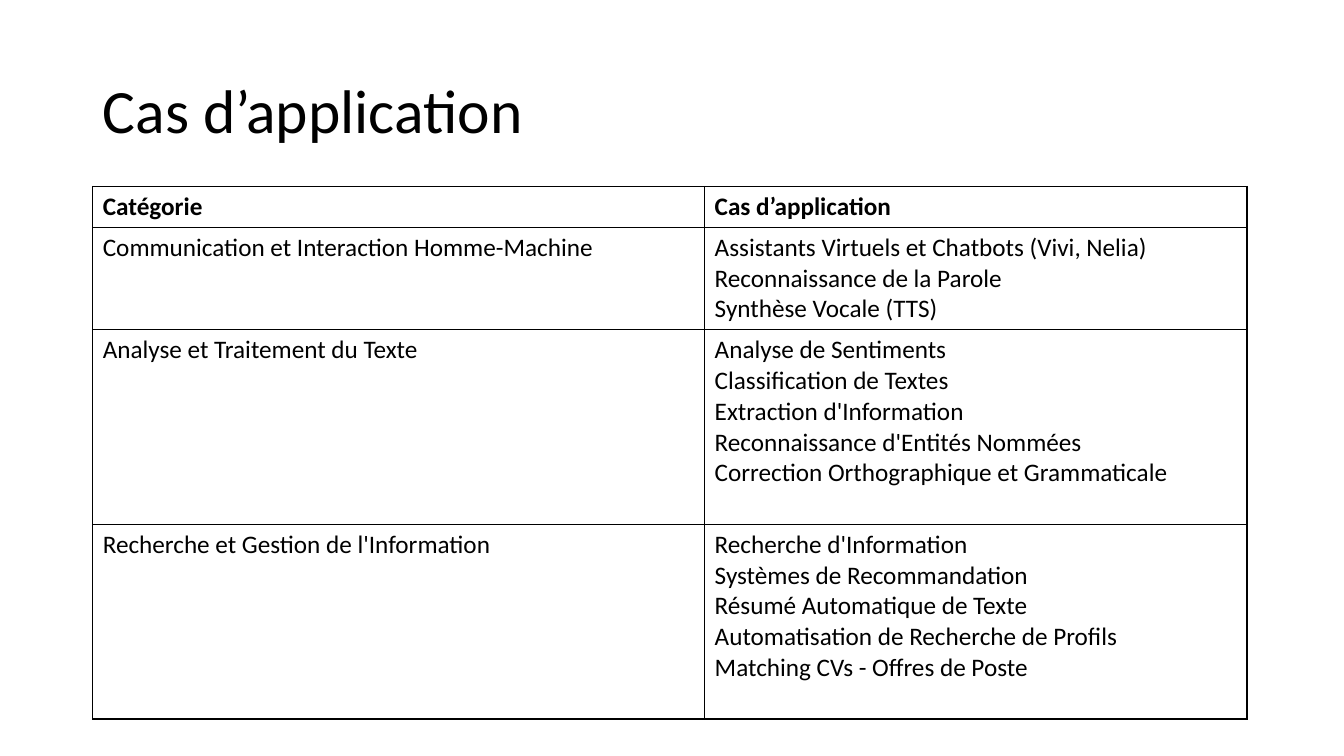
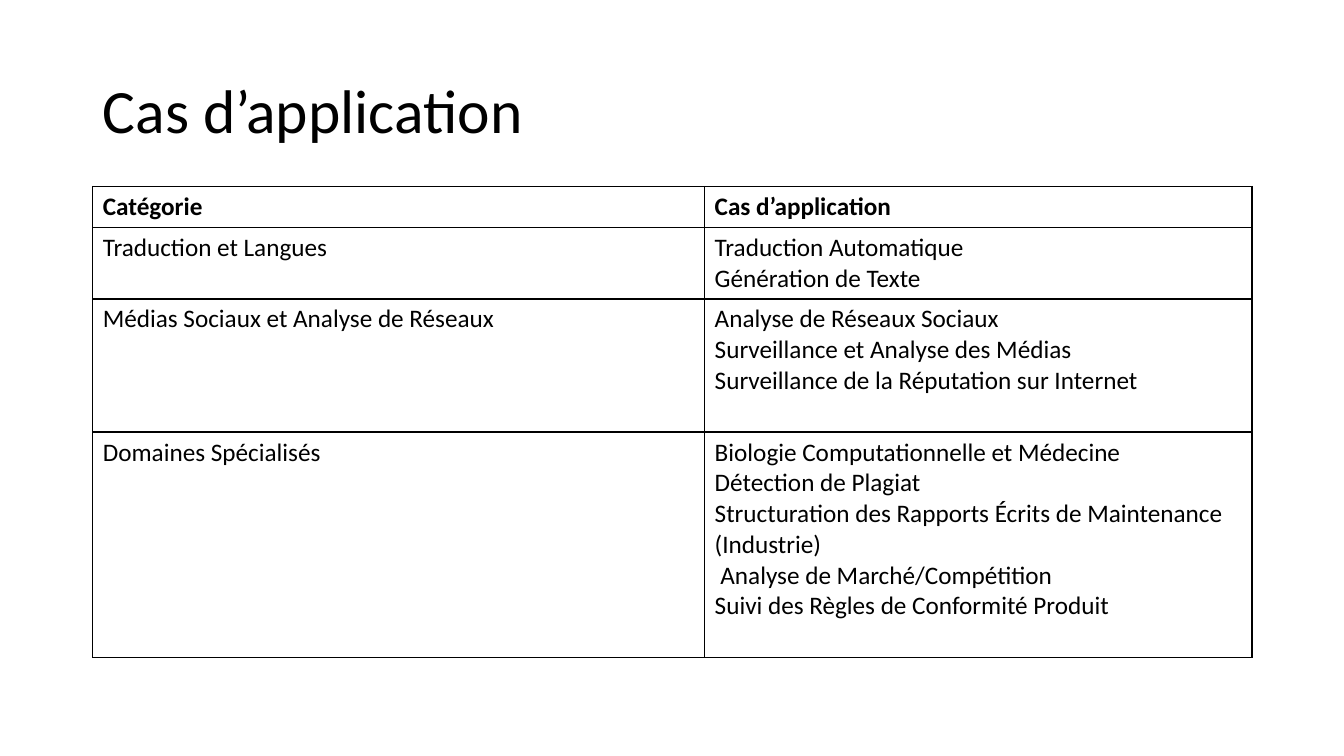
from pptx import Presentation
from pptx.dml.color import RGBColor
from pptx.enum.text import MSO_ANCHOR, MSO_AUTO_SIZE, PP_ALIGN
from pptx.oxml import parse_xml
from pptx.oxml.ns import nsdecls
from pptx.util import Inches, Pt

FONT = "Calibri"
INK = "000000"
TITLE = "Cas d’application"
HEADER = ("Catégorie", ["Cas d’application"], 1)

SLIDES = [
    {
        "widths": (45.53, 40.35),
        "rows": [
            ("Communication et Interaction Homme-Machine", [
                "Assistants Virtuels et Chatbots (Vivi, Nelia)",
                "Reconnaissance de la Parole",
                "Synthèse Vocale (TTS)",
            ], 3),
            ("Analyse et Traitement du Texte", [
                "Analyse de Sentiments",
                "Classification de Textes",
                "Extraction d'Information",
                "Reconnaissance d'Entités Nommées",
                "Correction Orthographique et Grammaticale",
            ], 6),
            ("Recherche et Gestion de l'Information", [
                "Recherche d'Information",
                "Systèmes de Recommandation",
                "Résumé Automatique de Texte",
                "Automatisation de Recherche de Profils",
                "Matching CVs - Offres de Poste",
            ], 6),
        ],
    },
    {
        "widths": (45.53, 40.72),
        "rows": [
            ("Traduction et Langues", [
                "Traduction Automatique",
                "Génération de Texte",
            ], 2),
            ("Médias Sociaux et Analyse de Réseaux", [
                "Analyse de Réseaux Sociaux",
                "Surveillance et Analyse des Médias",
                "Surveillance de la Réputation sur Internet",
            ], 4),
            ("Domaines Spécialisés", [
                "Biologie Computationnelle et Médecine",
                "Détection de Plagiat",
                "Structuration des Rapports Écrits de Maintenance (Industrie)",
                " Analyse de Marché/Compétition",
                "Suivi des Règles de Conformité Produit",
            ], 7),
        ],
    },
]


def colour(value):
    return RGBColor.from_string(value)


def write_text(frame, lines, size=18, bold=False, spacing=1.0):
    for index, line in enumerate(lines):
        para = frame.paragraphs[0] if index == 0 else frame.add_paragraph()
        para.alignment = PP_ALIGN.LEFT
        para.line_spacing = spacing
        span = para.add_run()
        span.text = line
        span.font.name = FONT
        span.font.size = Pt(size)
        span.font.bold = bold
        span.font.color.rgb = colour(INK)


deck = Presentation()
deck.slide_width = Inches(13.333)
deck.slide_height = Inches(7.5)
column = deck.slide_width / 100
row = deck.slide_height / 100
left = round(6.9 * column)
title_top = round(5.33 * row)
title_height = round(19.33 * row)
table_top = title_top + title_height
cell_padding = 1.33 * row
line_height = 4.07 * row

for content in SLIDES:
    page = deck.slides.add_slide(deck.slide_layouts[5])

    title = page.shapes.title
    title.left, title.top = left, title_top
    title.width, title.height = round(86.25 * column), title_height
    title.text_frame.auto_size = MSO_AUTO_SIZE.NONE
    title.text_frame.vertical_anchor = MSO_ANCHOR.MIDDLE
    write_text(title.text_frame, [TITLE], size=44, spacing=0.9)

    rows = [HEADER] + content["rows"]
    widths = [round(share * column) for share in content["widths"]]
    heights = [round(cell_padding + lines * line_height) for _, _, lines in rows]
    table = page.shapes.add_table(
        len(rows), len(widths), left, table_top, sum(widths), sum(heights)
    ).table
    for index, width in enumerate(widths):
        table.columns[index].width = width

    for row_index, (category, cases, _) in enumerate(rows):
        table.rows[row_index].height = heights[row_index]
        for column_index, lines in enumerate(([category], cases)):
            cell = table.cell(row_index, column_index)
            write_text(cell.text_frame, lines, bold=row_index == 0)
            properties = cell._tc.get_or_add_tcPr()
            for side in ("lnL", "lnR", "lnT", "lnB"):
                properties.append(parse_xml(
                    f'<a:{side} {nsdecls("a")} w="{Pt(1)}"><a:solidFill>'
                    f'<a:srgbClr val="{INK}"/></a:solidFill></a:{side}>'
                ))
            cell.fill.background()

deck.save("out.pptx")
